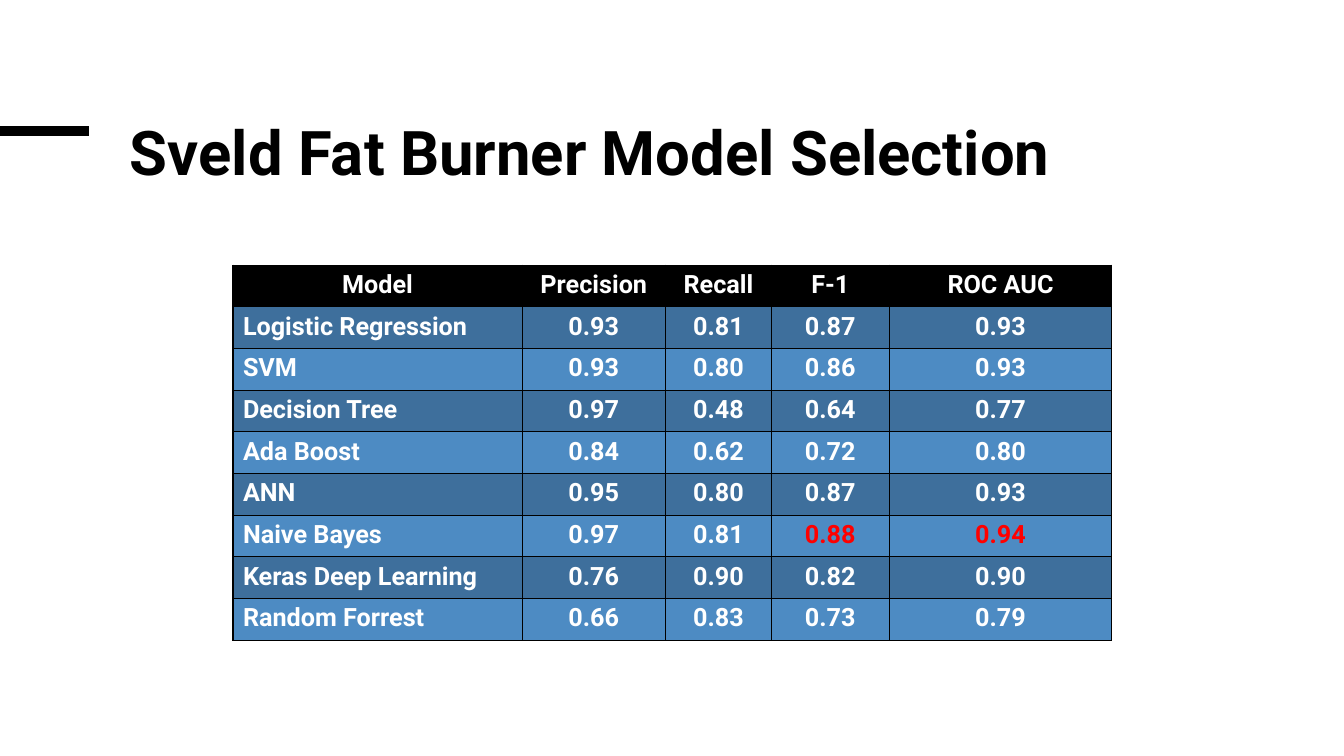
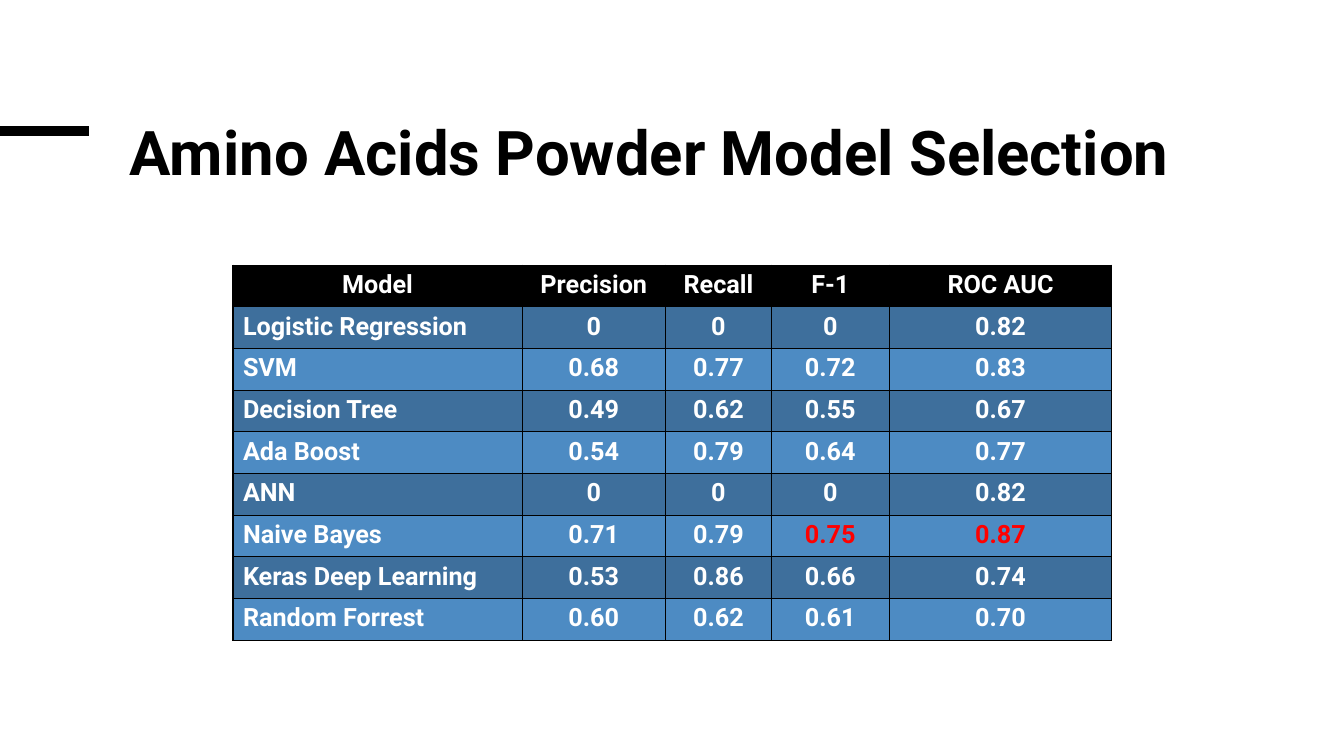
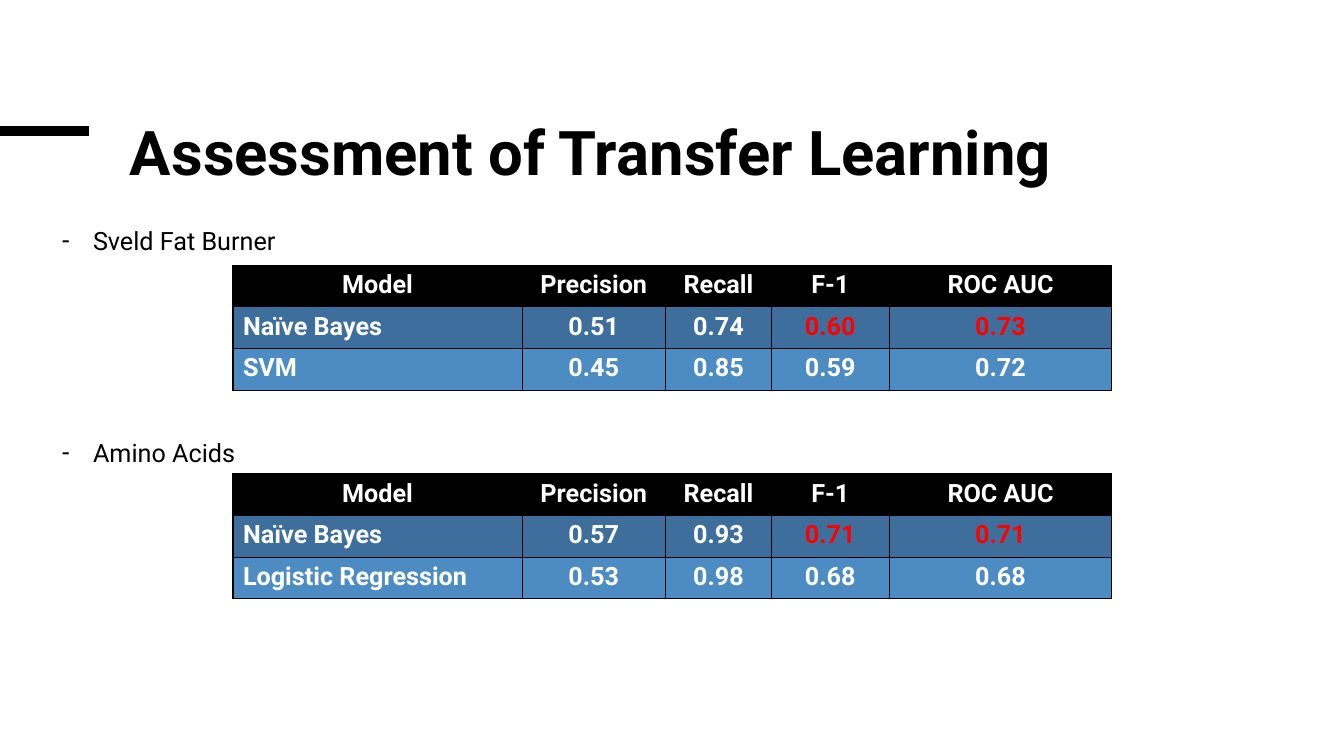
import dataclasses

import lxml.etree
import pptx
import pptx.dml.color
import pptx.enum.shapes
import pptx.enum.text
import pptx.oxml.ns
import pptx.util

Cm = pptx.util.Cm
Pt = pptx.util.Pt
qn = pptx.oxml.ns.qn
Align = pptx.enum.text.PP_ALIGN


@dataclasses.dataclass(frozen=True)
class Theme:
    font: str = "Roboto"
    black: str = "000000"
    white: str = "FFFFFF"
    red: str = "FF0000"
    bands: tuple = ("3E6F9C", "4D8BC3")
    head: int = 44
    body: int = 18


theme = Theme()


def write(para, text, size=theme.body, color=theme.black, bold=False,
          align=Align.LEFT, lead=1.0, gap=0):
    """Fill one paragraph with formatted text."""
    run = para.add_run()
    run.text = text
    run.font.name = theme.font
    run.font.size = Pt(size)
    run.font.bold = bold
    run.font.color.rgb = pptx.dml.color.RGBColor.from_string(color)
    para.alignment = align
    para.line_spacing = lead
    para.space_before = Pt(gap)


def grid(slide, top, rows):
    """Draw a score table; the row with the best F-1 is marked in red."""
    best = max(rows, key=lambda row: float(row[3]))
    shape = slide.shapes.add_table(len(rows) + 1, len(heads), Cm(5.87), Cm(top),
                                   Cm(sum(wide)), Cm(tall * (len(rows) + 1)))
    table = shape.table
    table.first_row = table.horz_banding = False
    for col, width in zip(table.columns, wide):
        col.width = Cm(width)
    for r, row in enumerate([heads, *rows]):
        table.rows[r].height = Cm(tall)
        for c, text in enumerate(row):
            cell = table.cell(r, c)
            # Black border on all four sides
            props = cell._tc.get_or_add_tcPr()
            for side in ("a:lnL", "a:lnR", "a:lnT", "a:lnB"):
                edge = lxml.etree.SubElement(props, qn(side), w=str(Pt(1)))
                fill = lxml.etree.SubElement(edge, qn("a:solidFill"))
                lxml.etree.SubElement(fill, qn("a:srgbClr"), val=theme.black)
            # Banded fill and text
            shade = theme.bands[(r - 1) % 2] if r else theme.black
            cell.fill.solid()
            cell.fill.fore_color.rgb = pptx.dml.color.RGBColor.from_string(shade)
            write(cell.text_frame.paragraphs[0], text, bold=True,
                  color=theme.red if row is best and c > 2 else theme.white,
                  align=Align.LEFT if r and not c else Align.CENTER)


# Table layout, in centimetres
heads = ("Model", "Precision", "Recall", "F-1", "ROC AUC")
wide = (7.29, 3.61, 2.67, 2.97, 5.61)
tall = 1.05
high, low = 6.68, 11.94

# Scores: title, list items, then tables as (top, rows)
decks = [
    ("Sveld Fat Burner Model Selection", (), [(high, [
        ("Logistic Regression", "0.93", "0.81", "0.87", "0.93"),
        ("SVM", "0.93", "0.80", "0.86", "0.93"),
        ("Decision Tree", "0.97", "0.48", "0.64", "0.77"),
        ("Ada Boost", "0.84", "0.62", "0.72", "0.80"),
        ("ANN", "0.95", "0.80", "0.87", "0.93"),
        ("Naive Bayes", "0.97", "0.81", "0.88", "0.94"),
        ("Keras Deep Learning", "0.76", "0.90", "0.82", "0.90"),
        ("Random Forrest", "0.66", "0.83", "0.73", "0.79"),
    ])]),
    ("Amino Acids Powder Model Selection", (), [(high, [
        ("Logistic Regression", "0", "0", "0", "0.82"),
        ("SVM", "0.68", "0.77", "0.72", "0.83"),
        ("Decision Tree", "0.49", "0.62", "0.55", "0.67"),
        ("Ada Boost", "0.54", "0.79", "0.64", "0.77"),
        ("ANN", "0", "0", "0", "0.82"),
        ("Naive Bayes", "0.71", "0.79", "0.75", "0.87"),
        ("Keras Deep Learning", "0.53", "0.86", "0.66", "0.74"),
        ("Random Forrest", "0.60", "0.62", "0.61", "0.70"),
    ])]),
    ("Assessment of Transfer Learning", ("Sveld Fat Burner", "Amino Acids"), [
        (high, [
            ("Naïve Bayes", "0.51", "0.74", "0.60", "0.73"),
            ("SVM", "0.45", "0.85", "0.59", "0.72"),
        ]),
        (low, [
            ("Naïve Bayes", "0.57", "0.93", "0.71", "0.71"),
            ("Logistic Regression", "0.53", "0.98", "0.68", "0.68"),
        ]),
    ]),
]

show = pptx.Presentation()
show.slide_width, show.slide_height = Cm(33.87), Cm(19.05)

for name, items, tables in decks:
    slide = show.slides.add_slide(show.slide_layouts[1 if items else 5])

    # Title
    title = slide.shapes.title
    title.left, title.top, title.width, title.height = map(Cm, (3.02, 3.02, 27.56, 3.61))
    frame = title.text_frame
    frame.vertical_anchor = pptx.enum.text.MSO_ANCHOR.TOP
    frame.auto_size = pptx.enum.text.MSO_AUTO_SIZE.NONE
    write(frame.paragraphs[0], name, size=theme.head, bold=True, lead=0.85)

    # Dashed list, spaced so that each item heads its table
    if items:
        body = slide.placeholders[1]
        body.left, body.top, body.width, body.height = map(Cm, (1.3, 5.54, 26.72, 7.95))
        frame = body.text_frame
        frame.auto_size = pptx.enum.text.MSO_AUTO_SIZE.NONE
        for i, item in enumerate(items):
            para = frame.add_paragraph() if i else frame.paragraphs[0]
            write(para, item, gap=130 if i else 0)
            props = para._p.get_or_add_pPr()
            props.set("marL", str(Cm(0.79)))
            props.set("indent", str(Cm(-0.79)))
            lxml.etree.SubElement(props, qn("a:buChar"), char="-")

    # Tables
    for top, rows in tables:
        grid(slide, top, rows)

# Bar beside the title, moved to the master so that every slide shows it
bar = show.slides[0].shapes.add_connector(
    pptx.enum.shapes.MSO_CONNECTOR.STRAIGHT, 0, Cm(3.3), Cm(2.24), Cm(3.3))
bar.line.width = Pt(6.75)
bar.line.color.rgb = pptx.dml.color.RGBColor.from_string(theme.black)
lxml.etree.SubElement(bar.element.spPr, qn("a:effectLst"))
show.slide_master.shapes.element.append(bar.element)

show.save("out.pptx")
